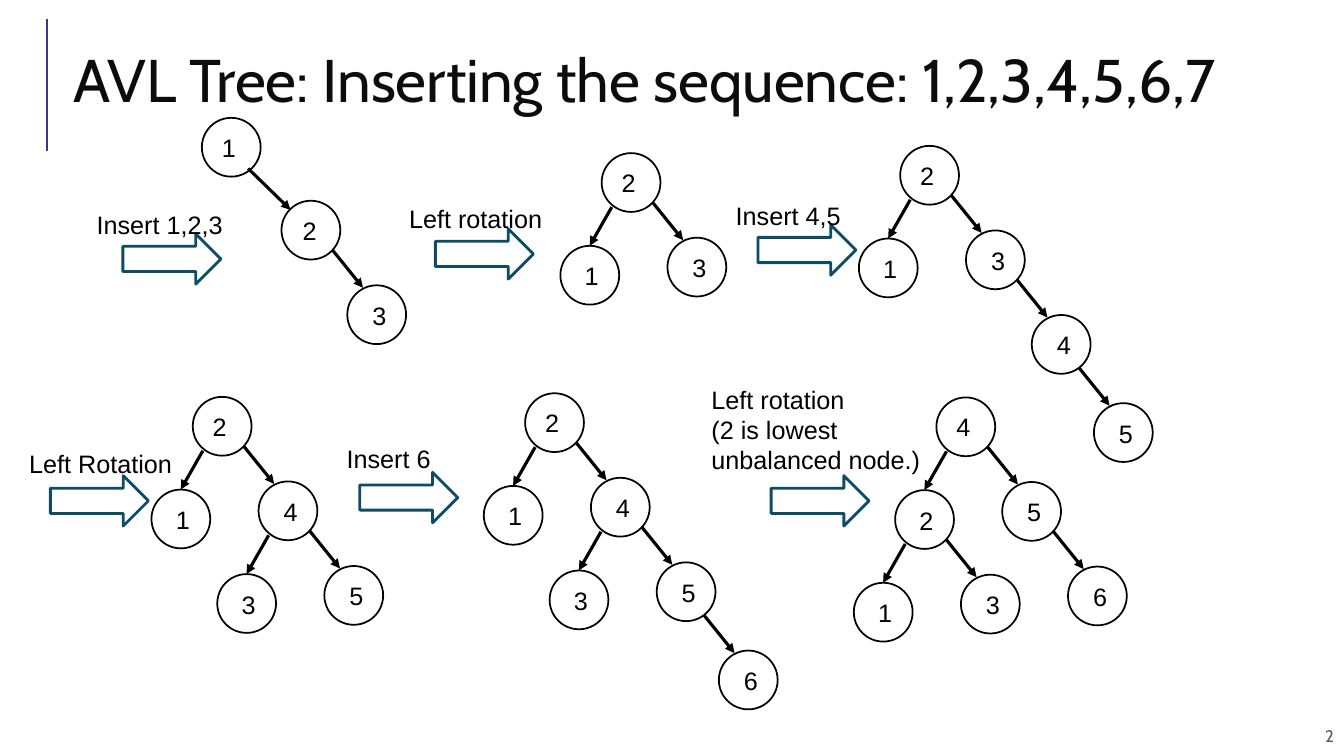
from collections import namedtuple
from dataclasses import dataclass

from lxml import etree
from pptx import Presentation
from pptx.dml.color import RGBColor
from pptx.enum.shapes import MSO_CONNECTOR, MSO_SHAPE
from pptx.enum.text import MSO_ANCHOR, MSO_AUTO_SIZE, PP_ALIGN
from pptx.oxml.ns import qn
from pptx.util import Pt

STRAIGHT = MSO_CONNECTOR.STRAIGHT
OVAL, ARROW = MSO_SHAPE.OVAL, MSO_SHAPE.RIGHT_ARROW
TOP, MIDDLE = MSO_ANCHOR.TOP, MSO_ANCHOR.MIDDLE
LEFT, RIGHT = PP_ALIGN.LEFT, PP_ALIGN.RIGHT
FIT, FIXED = MSO_AUTO_SIZE.SHAPE_TO_FIT_TEXT, MSO_AUTO_SIZE.NONE


@dataclass(frozen=True)
class Theme:
    """Fonts, type sizes, colours and line widths."""
    heading: str = "Cabin"
    body: str = "Arial"
    title_size: float = 43
    body_size: float = 18
    page_size: float = 12
    ink: str = "000000"
    title: str = "0C0C0C"
    page: str = "595959"
    paper: str = "FFFFFF"
    accent: str = "4C3282"
    arrow: str = "0C4C64"
    node_line: float = 1.25
    rule_line: float = 1.5
    arrow_line: float = 2
    edge_line: float = 2.25


Branch = namedtuple("Branch", "step tail head label")
Stage = namedtuple("Stage", "caption box arrow root keys")

NODE = 42
ARROW_SIZE = (70, 36)
KEY_SIZE = (24.5, 29)
ROOT_LABEL = (7.2, 6.5)
RIGHT_EDGE = ((-10.6, -25.2), (11.2, 1.8), (10.8, 7))
BRANCHES = {
    "L": Branch((-29.5, 66.2), (36.7, -27.7), (20.9, 0), (10.3, 7)),
    "R": Branch((47, 60.4), *RIGHT_EDGE),
    "D": Branch((44.4, 63), *RIGHT_EDGE),
    "W": Branch((56.9, 59.2), (-23.8, -23), (6.5, 6.5), (8, 6.5)),
}
STAGES = [
    Stage(["Insert 1,2,3"], (61.9, 146.2, 114.5, 29), (87.8, 167),
          (144.2, 84.2), {"": 1, "W": 2, "WR": 3}),
    Stage(["Left rotation"], (285.1, 141.8, 114.5, 29), (311, 163.4),
          (429.8, 109.4), {"": 2, "L": 1, "R": 3}),
    Stage(["Insert 4,5"], (518.4, 139.7, 114.5, 29), (541.4, 160.6),
          (643, 104.2), {"": 2, "L": 1, "R": 3, "RR": 4, "RRD": 5}),
    Stage(["Left Rotation"], (13.7, 316.8, 116.6, 29), (36, 339.8),
          (137.7, 283.5), {"": 2, "L": 1, "R": 4, "RL": 3, "RR": 5}),
    Stage(["Insert 6"], (240.5, 313.2, 92.2, 29), (257, 337.4),
          (375.1, 280.9),
          {"": 2, "L": 1, "R": 4, "RL": 3, "RR": 5, "RRD": 6}),
    Stage(["Left rotation", "(2 is lowest unbalanced node.)"],
          (501.1, 270.7, 182.2, 94.3), (550.8, 339.8), (668.9, 283.9),
          {"": 4, "L": 2, "R": 5, "LL": 1, "LR": 3, "RR": 6}),
]


def shift(point, offset):
    """Return the point moved by the offset."""
    return point[0] + offset[0], point[1] + offset[1]


class TreeSlide:
    """Draws AVL insertion stages on one slide."""

    def __init__(self, slide, theme):
        """Keep the slide and its style."""
        self.shapes = slide.shapes
        self.theme = theme

    def text(self, lines, box, size, color, font, align=LEFT, anchor=TOP,
             wrap=True, fit=FIT, spacing=None, inset=3.6):
        """Add a text box with one paragraph per line."""
        sp = self.shapes.add_textbox(*map(Pt, box))
        tf = sp.text_frame
        tf.text = "\n".join(lines)
        tf.word_wrap, tf.auto_size, tf.vertical_anchor = wrap, fit, anchor
        tf.margin_top = tf.margin_bottom = Pt(inset)
        for p in tf.paragraphs:
            p.alignment = align
            if spacing:
                p.line_spacing = spacing
            for r in p.runs:
                r.font.name, r.font.size = font, Pt(size)
                r.font.color.rgb = RGBColor.from_string(color)

    def body(self, lines, box, wrap=True):
        """Add text in the body style."""
        t = self.theme
        self.text(lines, box, t.body_size, t.ink, t.body, wrap=wrap)

    def shape(self, kind, at, size, color, width):
        """Add an outlined preset shape."""
        sp = self.shapes.add_shape(kind, *map(Pt, (*at, *size)))
        sp.shadow.inherit = False
        sp.fill.solid()
        sp.fill.fore_color.rgb = RGBColor.from_string(self.theme.paper)
        sp.line.color.rgb = RGBColor.from_string(color)
        sp.line.width = Pt(width)

    def line(self, start, end, color, width, pointed=False):
        """Add a straight line, with an arrowhead if pointed."""
        cx = self.shapes.add_connector(STRAIGHT, *map(Pt, (*start, *end)))
        cx.line.color.rgb = RGBColor.from_string(color)
        cx.line.width = Pt(width)
        if pointed:
            ln = cx.line._get_or_add_ln()
            etree.SubElement(ln, qn("a:tailEnd"), type="triangle")
        etree.SubElement(cx._element.spPr, qn("a:effectLst"))

    def node(self, key, at, label):
        """Add a tree node with its key."""
        t = self.theme
        self.shape(OVAL, at, (NODE, NODE), t.ink, t.node_line)
        self.body([str(key)], (*shift(at, label), *KEY_SIZE), wrap=False)

    def tree(self, root, keys):
        """Add a tree whose nodes are named by their path from the root."""
        t = self.theme
        places = {"": root}
        for path, key in keys.items():
            label = ROOT_LABEL
            if path:
                branch = BRANCHES[path[-1]]
                at = places[path] = shift(places[path[:-1]], branch.step)
                self.line(shift(at, branch.tail), shift(at, branch.head),
                          t.ink, t.edge_line, pointed=True)
                label = branch.label
            self.node(key, places[path], label)

    def stage(self, stage):
        """Add a captioned arrow and the tree it leads to."""
        t = self.theme
        self.tree(stage.root, stage.keys)
        self.shape(ARROW, stage.arrow, ARROW_SIZE, t.arrow, t.arrow_line)
        self.body(stage.caption, stage.box)

    def frame(self, title, number):
        """Add the title, its side rule and the page number."""
        t = self.theme
        self.line((33.8, 108), (33.8, 13.7), t.accent, t.rule_line)
        self.text([number], (622.8, 511.2, 337, 28.8), t.page_size, t.page,
                  t.heading, align=RIGHT, anchor=MIDDLE, inset=7.2)
        self.text([title], (45.4, 20.9, 880.6, 79.9), t.title_size, t.title,
                  t.heading, anchor=MIDDLE, fit=FIXED, spacing=0.8)


def main():
    """Build and save the presentation."""
    prs = Presentation()
    prs.slide_width, prs.slide_height = Pt(960), Pt(540)
    s = TreeSlide(prs.slides.add_slide(prs.slide_layouts[6]), Theme())
    s.frame("AVL Tree: Inserting the sequence: 1,2,3,4,5,6,7", "2")
    for stage in STAGES:
        s.stage(stage)
    prs.save("out.pptx")


if __name__ == "__main__":
    main()
